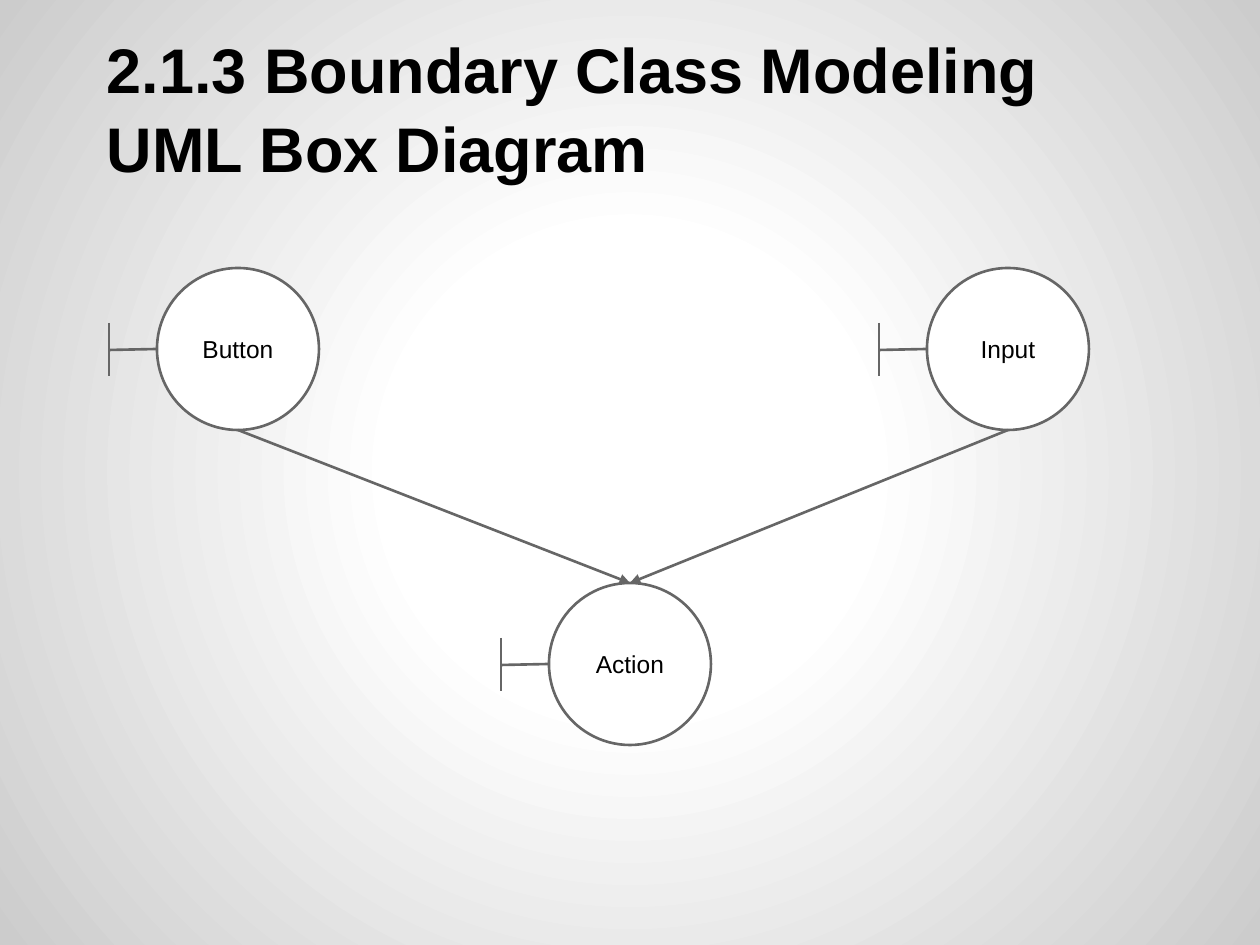
from lxml import etree
from pptx import Presentation, util as u
from pptx.dml.color import RGBColor
from pptx.enum import shapes, text
from pptx.oxml import parse_xml
from pptx.oxml.ns import qn

TITLE = ["2.1.3 Boundary Class Modeling", "UML Box Diagram"]
CLASSES = {"Button": (157, 268), "Action": (549, 583), "Input": (927, 268)}
ARROWS = [("Button", "Action"), ("Input", "Action")]
DIAMETER = 162
STEM = 48
BAR_TOP, BAR_BOTTOM = 55, 108

BLACK = RGBColor(0x00, 0x00, 0x00)
WHITE = RGBColor(0xFF, 0xFF, 0xFF)
GRAY = RGBColor(0x66, 0x66, 0x66)
EDGE = RGBColor(0xCC, 0xCC, 0xCC)
GRADIENT = [(0, WHITE), (30, WHITE), (100, EDGE)]


def px(n):
    return round(n * 914400 / 126)


def add_background(s):
    stops = "".join(f'<a:gs pos="{pos * 1000}"><a:srgbClr val="{color}"/></a:gs>'
                    for pos, color in GRADIENT)
    s.element.cSld.insert(0, parse_xml(
        '<p:bg xmlns:p="http://schemas.openxmlformats.org/presentationml/2006/main"'
        ' xmlns:a="http://schemas.openxmlformats.org/drawingml/2006/main"><p:bgPr>'
        f'<a:gradFill><a:gsLst>{stops}</a:gsLst><a:path path="circle">'
        '<a:fillToRect l="50000" t="50000" r="50000" b="50000"/></a:path></a:gradFill>'
        '<a:effectLst/></p:bgPr></p:bg>'))


def add_run(p, words, size, bold=False):
    r = p.add_run()
    r.text = words
    r.font.name, r.font.size, r.font.bold = "Arial", u.Pt(size), bold
    r.font.color.rgb = BLACK


def add_title(s):
    tf = s.shapes.add_textbox(px(63), px(38), px(1134), px(157)).text_frame
    tf.word_wrap = True
    tf.vertical_anchor = text.MSO_ANCHOR.BOTTOM
    tf.margin_left = tf.margin_right = tf.margin_top = u.Inches(0.1)
    tf.margin_bottom = u.Inches(0.08)
    for i, line in enumerate(TITLE):
        p = tf.add_paragraph() if i else tf.paragraphs[0]
        p.space_before = u.Pt(2 if i else 0)
        pPr = p._p.get_or_add_pPr()
        pPr.set("marL", "0")
        pPr.set("indent", str(u.Inches(0.25)))
        add_run(p, line, 36, bold=True)


def add_line(parent, x1, y1, x2, y2):
    c = parent.shapes.add_connector(shapes.MSO_CONNECTOR.STRAIGHT,
                                    px(x1), px(y1), px(x2), px(y2))
    c.line.color.rgb, c.line.width = GRAY, u.Pt(1.5)
    etree.SubElement(c._element.spPr, qn("a:effectLst"))
    return c


def add_boundary_class(s, name, x, y):
    """Draw a UML boundary symbol: a named circle with a stem and bar at its left."""
    group = s.shapes.add_group_shape()
    sp = group.shapes.add_shape(shapes.MSO_SHAPE.OVAL, px(x), px(y),
                                px(DIAMETER), px(DIAMETER))
    sp.shadow.inherit = False
    sp.fill.solid()
    sp.fill.fore_color.rgb = WHITE
    sp.line.color.rgb, sp.line.width = GRAY, u.Pt(1.5)
    tf = sp.text_frame
    tf.vertical_anchor = text.MSO_ANCHOR.MIDDLE
    tf.margin_left = tf.margin_right = tf.margin_top = tf.margin_bottom = u.Inches(0.1)
    p = tf.paragraphs[0]
    p.alignment = text.PP_ALIGN.CENTER
    add_run(p, name, 14)
    middle = y + DIAMETER // 2
    add_line(group, x - STEM, middle + 1, x, middle)
    add_line(group, x - STEM, y + BAR_TOP, x - STEM, y + BAR_BOTTOM)
    return sp


def add_arrow(s, source, target, circles):
    (x1, y1), (x2, y2) = CLASSES[source], CLASSES[target]
    radius = DIAMETER // 2
    c = add_line(s, x1 + radius, y1 + DIAMETER, x2 + radius, y2)
    c.end_connect(circles[target], 0)
    etree.SubElement(c.line._get_or_add_ln(), qn("a:tailEnd"), type="triangle")


def main():
    prs = Presentation()
    prs.slide_width, prs.slide_height = px(1260), px(945)
    s = prs.slides.add_slide(prs.slide_layouts[6])
    add_background(s)
    add_title(s)
    circles = {name: add_boundary_class(s, name, x, y)
               for name, (x, y) in CLASSES.items()}
    for source, target in ARROWS:
        add_arrow(s, source, target, circles)
    prs.save("out.pptx")


if __name__ == "__main__":
    main()
